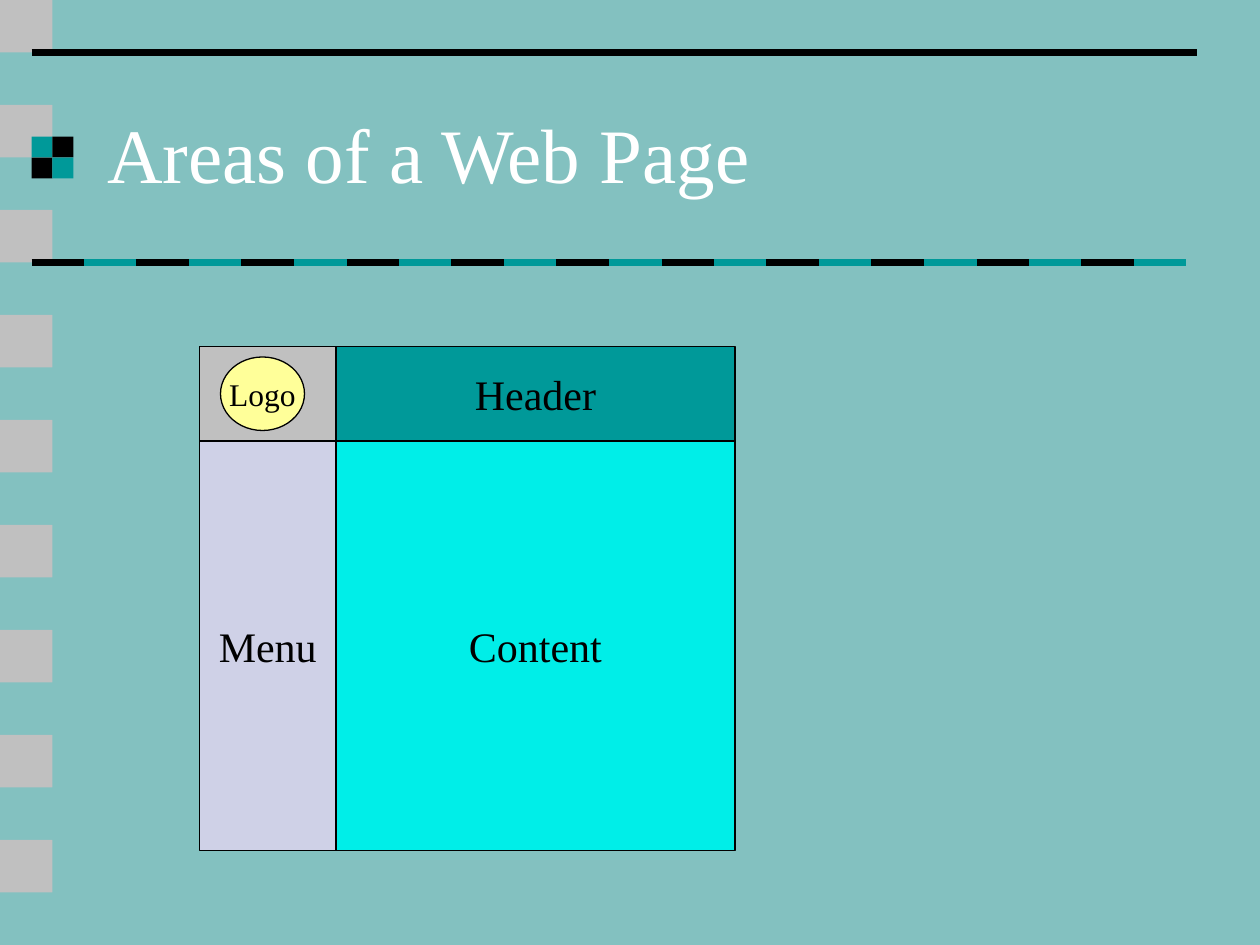
from dataclasses import dataclass
from typing import Optional

import lxml.etree
import pptx
import pptx.dml.color
import pptx.dml.fill
import pptx.enum.shapes
import pptx.enum.text
import pptx.oxml.ns
import pptx.shapes.autoshape
import pptx.slide
import pptx.text.text
import pptx.util

SHAPES = pptx.enum.shapes.MSO_SHAPE
ALIGN = pptx.enum.text.PP_ALIGN


@dataclass(frozen=True)
class Theme:
    font: str = "Times New Roman"
    background: str = "83C1C0"
    black: str = "000000"
    white: str = "FFFFFF"
    grey: str = "C0C0C0"
    teal: str = "009999"
    lavender: str = "CFD1E7"
    cyan: str = "00EEE8"
    yellow: str = "FFFF99"
    title_size: int = 44
    area_size: int = 24
    logo_size: int = 18
    rule_width: float = 4.5
    outline_width: float = 0.75


THEME = Theme()


@dataclass(frozen=True)
class Area:
    left: int
    top: int
    width: int
    height: int
    fill: str
    label: str = ""
    size: int = THEME.area_size
    kind: pptx.enum.shapes.MSO_SHAPE = SHAPES.RECTANGLE
    outline: Optional[str] = THEME.black


@dataclass(frozen=True)
class Rule:
    start: int
    end: int
    height: int
    color: str


def grid(steps: int) -> pptx.util.Length:
    return pptx.util.Cm(steps * 2.54 / 12)


def rgb(color: str) -> pptx.dml.color.RGBColor:
    return pptx.dml.color.RGBColor.from_string(color)


def paint(fill: pptx.dml.fill.FillFormat, color: str) -> None:
    fill.solid()
    fill.fore_color.rgb = rgb(color)


def write(frame: pptx.text.text.TextFrame, text: str, size: int, color: str,
          alignment: pptx.enum.text.PP_ALIGN) -> None:
    frame.auto_size = pptx.enum.text.MSO_AUTO_SIZE.NONE
    frame.vertical_anchor = pptx.enum.text.MSO_ANCHOR.MIDDLE
    para = frame.paragraphs[0]
    para.alignment = alignment
    span = para.add_run()
    span.text = text
    span.font.name = THEME.font
    span.font.size = pptx.util.Pt(size)
    span.font.color.rgb = rgb(color)


def draw_area(page: pptx.slide.Slide, area: Area) -> None:
    box = page.shapes.add_shape(area.kind, grid(area.left), grid(area.top),
                                grid(area.width), grid(area.height))
    box.shadow.inherit = False
    paint(box.fill, area.fill)
    if area.outline:
        box.line.color.rgb = rgb(area.outline)
        box.line.width = pptx.util.Pt(THEME.outline_width)
    else:
        box.line.fill.background()
    if area.label:
        box.text_frame.word_wrap = False
        write(box.text_frame, area.label, area.size, THEME.black, ALIGN.CENTER)


def draw_rule(page: pptx.slide.Slide, rule: Rule) -> None:
    line = page.shapes.add_connector(
        pptx.enum.shapes.MSO_CONNECTOR.STRAIGHT,
        grid(rule.start), grid(rule.height), grid(rule.end), grid(rule.height))
    line.line.color.rgb = rgb(rule.color)
    line.line.width = pptx.util.Pt(THEME.rule_width)
    lxml.etree.SubElement(line.element.spPr, pptx.oxml.ns.qn("a:effectLst"))


def draw_title(page: pptx.slide.Slide, text: str) -> None:
    title = page.shapes.title
    title.left, title.top = grid(9), grid(7)
    title.width, title.height = grid(102), grid(15)
    write(title.text_frame, text, THEME.title_size, THEME.white, ALIGN.LEFT)


def draw_decoration(page: pptx.slide.Slide) -> None:
    for index in range(9):
        draw_area(page, Area(0, 10 * index, 5, 5, THEME.grey, outline=None))
    draw_rule(page, Rule(3, 114, 5, THEME.black))
    colors = (THEME.teal, THEME.black)
    for row in range(2):
        for column in range(2):
            draw_area(page, Area(3 + 2 * column, 13 + 2 * row, 2, 2,
                                 colors[(row + column) % 2], outline=None))
    for index in range(22):
        start = 3 + 5 * index
        draw_rule(page, Rule(start, start + 5, 25, colors[(index + 1) % 2]))


def main() -> None:
    deck = pptx.Presentation()
    deck.slide_width, deck.slide_height = grid(120), grid(90)
    page = deck.slides.add_slide(deck.slide_layouts.get_by_name("Title Only"))
    paint(page.background.fill, THEME.background)
    draw_decoration(page)
    draw_title(page, "Areas of a Web Page")
    areas = (
        Area(19, 42, 13, 39, THEME.lavender, "Menu"),
        Area(19, 33, 13, 9, THEME.grey),
        Area(32, 33, 38, 9, THEME.teal, "Header"),
        Area(32, 42, 38, 39, THEME.cyan, "Content"),
        Area(21, 34, 8, 7, THEME.yellow, "Logo", THEME.logo_size, SHAPES.OVAL),
    )
    for area in areas:
        draw_area(page, area)
    deck.save("out.pptx")


if __name__ == "__main__":
    main()
